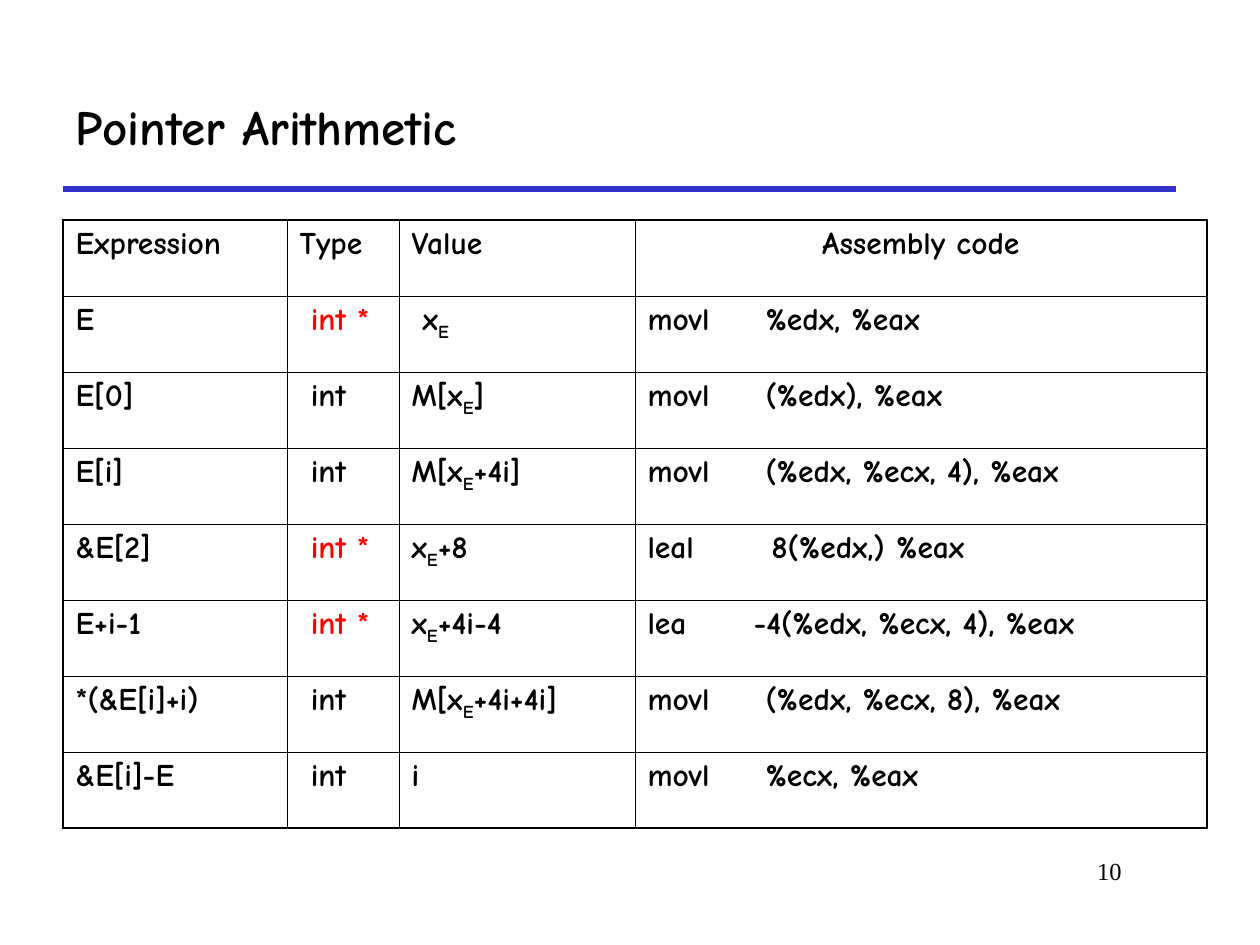
from dataclasses import dataclass

from lxml.etree import SubElement
from pptx import Presentation
from pptx.dml.color import RGBColor
from pptx.enum.shapes import MSO_CONNECTOR
from pptx.enum.text import MSO_ANCHOR, PP_ALIGN
from pptx.oxml.ns import qn
from pptx.util import Emu, Pt

BLACK = RGBColor(0x00, 0x00, 0x00)
RED = RGBColor(0xFF, 0x00, 0x00)
BLUE = RGBColor(0x33, 0x33, 0xCC)
BODY_FONT = "Comic Neue"
NUMBER_FONT = "Times New Roman"
PX_PER_INCH = 126
COLUMN_WIDTHS = (224, 112, 236, 572)
ROW_HEIGHT = 76
OUTER_BORDER, INNER_BORDER = Pt(1.08), Pt(0.45)
HEADINGS = ("Expression", "Type", "Value", "Assembly code")


@dataclass
class Span:
    text: str
    colour: RGBColor = BLACK
    subscript: bool = False


@dataclass
class Example:
    expression: str
    is_pointer: bool
    value: str
    opcode: str
    operands: str
    operand_left: int = 118


EXAMPLES = (
    Example("E", True, " x_E_", "movl", "%edx, %eax"),
    Example("E[0]", False, "M[x_E_]", "movl", "(%edx), %eax"),
    Example("E[i]", False, "M[x_E_+4i]", "movl", "(%edx, %ecx, 4), %eax"),
    Example("&E[2]", True, "x_E_+8", "leal", "8(%edx,) %eax", 124),
    Example("E+i-1", True, "x_E_+4i-4", "lea", "-4(%edx, %ecx, 4), %eax", 106),
    Example("*(&E[i]+i)", False, "M[x_E_+4i+4i]", "movl", "(%edx, %ecx, 8), %eax"),
    Example("&E[i]-E", False, "i", "movl", "%ecx, %eax"),
)


def px(length: int) -> Emu:
    return Emu(round(length * 914400 / PX_PER_INCH))


def write_spans(para, spans: list[Span], size: int, font: str = BODY_FONT, bold: bool = True) -> None:
    for span in spans:
        run = para.add_run()
        run.text = span.text
        run.font.name = font
        run.font.size = Pt(size)
        run.font.bold = bold
        run.font.color.rgb = span.colour
        if span.subscript:
            run._r.get_or_add_rPr().set("baseline", "-25000")


def add_text_box(page, left: int, top: int, width: int, height: int):
    box = page.shapes.add_textbox(px(left), px(top), px(width), px(height))
    box.text_frame.word_wrap = True
    return box.text_frame


def add_title_rule(page) -> None:
    rule = page.shapes.add_connector(MSO_CONNECTOR.STRAIGHT, px(63), px(189), px(1176), px(189))
    rule.line.color.rgb = BLUE
    rule.line.width = Pt(3)
    SubElement(rule._element.spPr, qn("a:effectLst"))


def value_spans(value: str) -> list[Span]:
    pieces = value.split("_")
    return [Span(piece, subscript=index % 2 == 1) for index, piece in enumerate(pieces) if piece]


def example_cells(example: Example) -> list[list[Span]]:
    kind = [Span(" "), Span("int *", RED)] if example.is_pointer else [Span(" int")]
    code = [Span(f"{example.opcode}\t{example.operands}")]
    return [[Span(example.expression)], kind, value_spans(example.value), code]


def set_borders(cell, outer_sides: dict[str, bool]) -> None:
    properties = cell._tc.get_or_add_tcPr()
    for side, is_outer in outer_sides.items():
        width = OUTER_BORDER if is_outer else INNER_BORDER
        border = SubElement(properties, qn(f"a:ln{side}"), w=str(int(width)))
        fill = SubElement(border, qn("a:solidFill"))
        SubElement(fill, qn("a:srgbClr"), val=str(BLACK))


def add_tab_stop(para, position: int) -> None:
    stops = SubElement(para._p.get_or_add_pPr(), qn("a:tabLst"))
    SubElement(stops, qn("a:tab"), pos=str(int(px(position))), algn="l")


def add_pointer_table(page) -> None:
    rows = [[[Span(heading)] for heading in HEADINGS]]
    rows += [example_cells(example) for example in EXAMPLES]
    last_row, last_column = len(rows) - 1, len(HEADINGS) - 1
    frame = page.shapes.add_table(
        len(rows), len(HEADINGS), px(63), px(220), px(sum(COLUMN_WIDTHS)), px(ROW_HEIGHT * len(rows))
    )
    table = frame.table
    table.first_row = False
    table.horz_banding = False
    for column, width in zip(table.columns, COLUMN_WIDTHS):
        column.width = px(width)
    for row_index, row in enumerate(rows):
        table.rows[row_index].height = px(ROW_HEIGHT)
        for column_index, spans in enumerate(row):
            cell = table.cell(row_index, column_index)
            set_borders(cell, {
                "L": column_index == 0,
                "R": column_index == last_column,
                "T": row_index == 0,
                "B": row_index == last_row,
            })
            cell.fill.background()
            para = cell.text_frame.paragraphs[0]
            para.space_before = Pt(4.5)
            write_spans(para, spans, 18)
    table.cell(0, last_column).text_frame.paragraphs[0].alignment = PP_ALIGN.CENTER
    for row_index, example in enumerate(EXAMPLES, start=1):
        add_tab_stop(table.cell(row_index, last_column).text_frame.paragraphs[0], example.operand_left)


def main() -> None:
    deck = Presentation()
    deck.slide_width = px(1260)
    deck.slide_height = px(945)
    page = deck.slides.add_slide(deck.slide_layouts[6])

    add_title_rule(page)

    number = add_text_box(page, 955, 850, 179, 63).paragraphs[0]
    number.alignment = PP_ALIGN.RIGHT
    write_spans(number, [Span("10")], 14, NUMBER_FONT, bold=False)

    title = add_text_box(page, 63, 63, 1113, 126)
    title.vertical_anchor = MSO_ANCHOR.MIDDLE
    write_spans(title.paragraphs[0], [Span("Pointer Arithmetic")], 28)

    add_pointer_table(page)
    deck.save("out.pptx")


if __name__ == "__main__":
    main()
